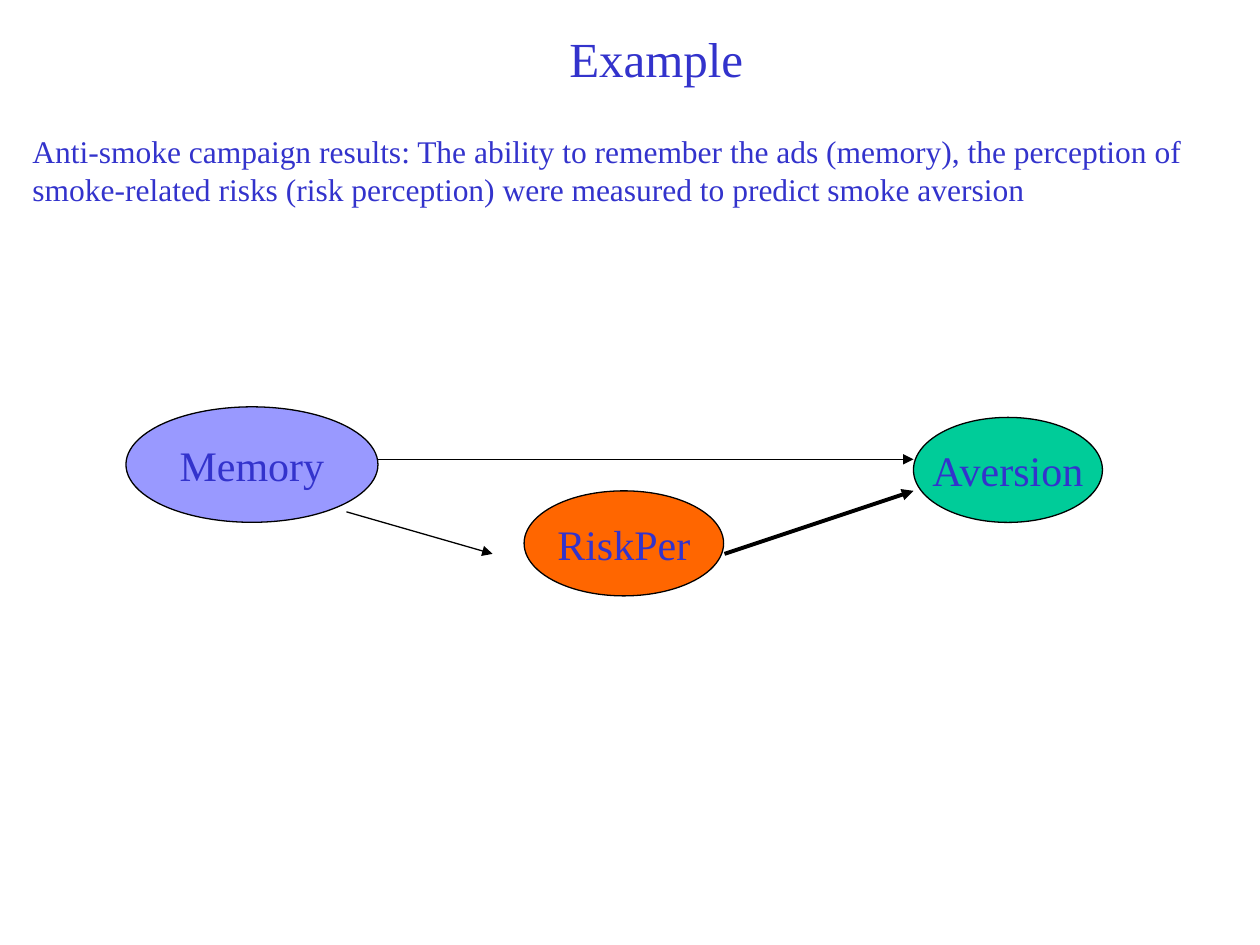
from lxml.etree import SubElement
from pptx import Presentation
from pptx.dml.color import RGBColor
from pptx.enum.shapes import MSO_CONNECTOR as CONN, MSO_SHAPE as SHAPE
from pptx.enum.text import MSO_ANCHOR as ANCHOR, PP_ALIGN as ALIGN
from pptx.oxml.ns import qn
from pptx.util import Pt

BLUE = RGBColor(0x33, 0x33, 0xCC)
BLACK = RGBColor(0, 0, 0)
GREEN = RGBColor(0x00, 0xCC, 0x99)
LILAC = RGBColor(0x99, 0x99, 0xFF)
ORANGE = RGBColor(0xFF, 0x66, 0x00)
FONT = "Times New Roman"

TITLE = "Example"
INTRO = (
    "Anti-smoke campaign results: The ability to remember the ads (memory), "
    "the perception of smoke-related risks (risk perception) were measured "
    "to predict smoke aversion"
)
VARIABLES = [
    ("Aversion", GREEN, (522, 238.5, 108, 60)),
    ("Memory", LILAC, (72, 232.5, 144, 66)),
    ("RiskPer", ORANGE, (299.5, 280.5, 114, 60)),
]
ARROWS = [
    ((414, 316.5), (522, 280.5), 2.25),
    ((198, 292.5), (281.5, 316.5), 0.75),
    ((216, 262.5), (522, 262.5), 0.75),
]


def write(sp, text, size, align, anchor, wrap):
    tf = sp.text_frame
    tf.text = text
    tf.word_wrap = wrap
    tf.vertical_anchor = anchor
    p = tf.paragraphs[0]
    p.alignment = align
    font = p.runs[0].font
    font.name, font.size = FONT, Pt(size)
    font.color.rgb = BLUE


def add_variable(shapes, name, fill, box):
    sp = shapes.add_shape(SHAPE.OVAL, *map(Pt, box))
    sp.shadow.inherit = False
    sp.fill.solid()
    sp.fill.fore_color.rgb = fill
    sp.line.color.rgb = BLACK
    sp.line.width = Pt(0.75)
    write(sp, name, 24, ALIGN.CENTER, ANCHOR.MIDDLE, False)


def add_arrow(shapes, start, end, width):
    arrow = shapes.add_connector(CONN.STRAIGHT, *map(Pt, start + end))
    arrow.line.color.rgb = BLACK
    arrow.line.width = Pt(width)
    SubElement(arrow.line._get_or_add_ln(), qn("a:tailEnd"), type="triangle")
    SubElement(arrow._element.spPr, qn("a:effectLst"))


def main():
    prs = Presentation()
    prs.slide_width, prs.slide_height = Pt(720), Pt(540)
    s = prs.slides.add_slide(prs.slide_layouts[5])

    title = s.shapes.title
    title.left, title.top, title.width, title.height = map(Pt, (120, 10, 510, 46))
    write(title, TITLE, 28, ALIGN.CENTER, ANCHOR.MIDDLE, True)

    intro = s.shapes.add_textbox(*map(Pt, (11.5, 72, 672.5, 54)))
    write(intro, INTRO, 18, ALIGN.LEFT, ANCHOR.TOP, True)

    for variable in VARIABLES:
        add_variable(s.shapes, *variable)
    for arrow in ARROWS:
        add_arrow(s.shapes, *arrow)
    prs.save("out.pptx")


if __name__ == "__main__":
    main()
